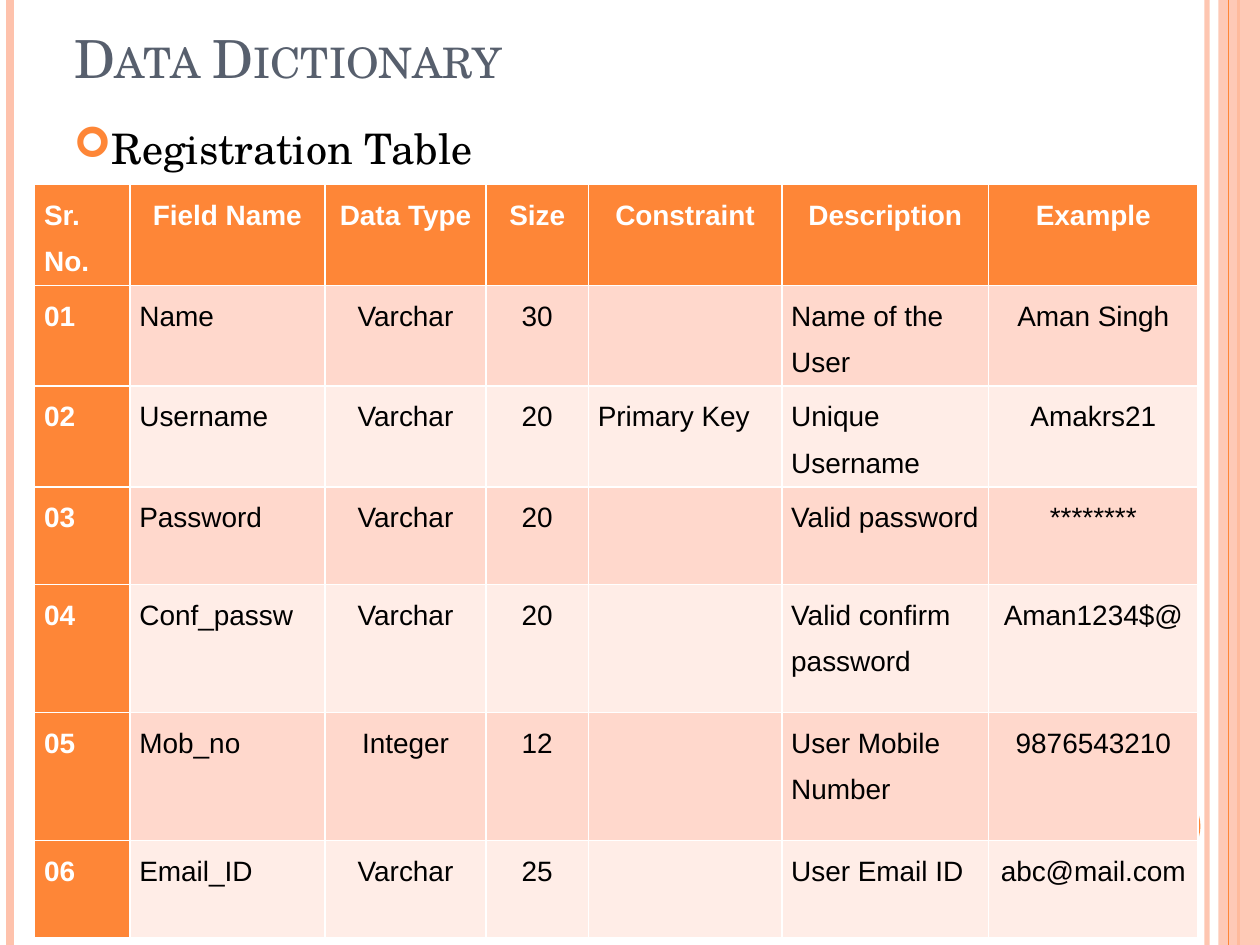
from dataclasses import dataclass

from lxml import etree
from pptx import Presentation
from pptx import util as u
from pptx.dml.color import RGBColor
from pptx.enum import shapes, text
from pptx.oxml.ns import qn


@dataclass(frozen=True)
class Theme:
    orange: str = "FE8637"
    peach: str = "FEC2AC"
    slate: str = "575F6D"
    black: str = "000000"
    white: str = "FFFFFF"
    bands: tuple = ("FFD8CC", "FFEDE7")
    serif: str = "TeX Gyre Schola"
    sans: str = "Arial"
    title_size: int = 30
    body_size: int = 24
    table_size: int = 16


theme = Theme()


def format_text(paragraph, font_name, size, color, bold=False):
    for run in paragraph.runs:
        run.font.name = font_name
        run.font.size = u.Pt(size)
        run.font.bold = bold
        run.font.color.rgb = RGBColor.from_string(color)


def set_opacity(shape, percent):
    color = next(shape._element.spPr.iter(qn("a:srgbClr")))
    etree.SubElement(color, qn("a:alpha")).set("val", str(percent * 1000))


presentation = Presentation()
presentation.slide_width = u.Cm(25.4)
presentation.slide_height = u.Cm(19.05)
slide = presentation.slides.add_slide(presentation.slide_layouts[5])

# Side rules, band and disc, back to front; a rule has a line width in points
# and a block has a preset with its left, top, width and height
rule, rectangle, disc = None, shapes.MSO_SHAPE.RECTANGLE, shapes.MSO_SHAPE.OVAL
decorations = [
    (rule, (24.33, 3), theme.peach, 93),
    (rule, (0.2, 4.5), theme.peach, 100),
    (rule, (24.97, 1.5), theme.orange, 100),
    (rectangle, (24.56, 0, 0.84, 19.05), theme.peach, 87),
    (rule, (24.77, 0.75), theme.orange, 100),
    (disc, (22.65, 15.88, 1.55, 1.55), theme.orange, 100),
]
for kind, geometry, color, opacity in decorations:
    if kind is rule:
        x, line_width = geometry
        shape = slide.shapes.add_connector(
            shapes.MSO_CONNECTOR.STRAIGHT, u.Cm(x), 0, u.Cm(x), u.Cm(19.05))
        shape.line.width = u.Pt(line_width)
        shape.line.color.rgb = RGBColor.from_string(color)
        etree.SubElement(shape._element.spPr, qn("a:effectLst"))
    else:
        shape = slide.shapes.add_shape(kind, *map(u.Cm, geometry))
        shape.shadow.inherit = False
        shape.fill.solid()
        shape.fill.fore_color.rgb = RGBColor.from_string(color)
        shape.line.fill.background()
    if opacity < 100:
        set_opacity(shape, opacity)

# Title
title = slide.shapes.title
title.left, title.top, title.width, title.height = (
    u.Cm(1.24), u.Cm(0), u.Cm(20.75), u.Cm(1.93))
title.text_frame.text = "Data Dictionary"
title.text_frame.vertical_anchor = text.MSO_ANCHOR.BOTTOM
paragraph = title.text_frame.paragraphs[0]
paragraph.alignment = text.PP_ALIGN.LEFT
format_text(paragraph, theme.serif, theme.title_size, theme.slate)
paragraph.runs[0]._r.get_or_add_rPr().set("cap", "small")

# Heading with a ring bullet, which is character F0A2 of the symbol font
heading = slide.shapes.add_textbox(u.Cm(1.24), u.Cm(2.34), u.Cm(20.75), u.Cm(13.54))
heading.text_frame.word_wrap = True
heading.text_frame.text = "Registration Table"
paragraph = heading.text_frame.paragraphs[0]
properties = paragraph._p.get_or_add_pPr()
properties.set("marL", str(u.Cm(0.76)))
properties.set("indent", str(-u.Cm(0.76)))
bullet_color = etree.SubElement(properties, qn("a:buClr"))
etree.SubElement(bullet_color, qn("a:srgbClr")).set("val", theme.orange)
bullet_font = etree.SubElement(properties, qn("a:buFont"))
bullet_font.set("typeface", "Wingdings")
bullet_font.set("charset", "2")
etree.SubElement(properties, qn("a:buChar")).set("char", chr(0xF0A2))
format_text(paragraph, theme.serif, theme.body_size, theme.black)

# Registration table
records = [
    ("Sr. No.", "Field Name", "Data Type", "Size", "Constraint", "Description", "Example"),
    ("01", "Name", "Varchar", "30", "", "Name of the User", "Aman Singh"),
    ("02", "Username", "Varchar", "20", "Primary Key", "Unique Username", "Amakrs21"),
    ("03", "Password", "Varchar", "20", "", "Valid password", "********"),
    ("04", "Conf_passw", "Varchar", "20", "", "Valid confirm password", "Aman1234$@"),
    ("05", "Mob_no", "Integer", "12", "", "User Mobile Number", "9876543210"),
    ("06", "Email_ID", "Varchar", "25", "", "User Email ID", "abc@mail.com"),
]
column_widths = [1.92, 3.93, 3.25, 2.06, 3.9, 4.17, 4.22]
row_heights = [1.97, 1.97, 1.97, 1.97, 2.58, 2.58, 1.97]
centred_columns = {2, 3, 6}

# The default table style draws the white borders, thicker under the header
table = slide.shapes.add_table(
    len(records), len(column_widths), u.Cm(0.7), u.Cm(3.72),
    u.Cm(sum(column_widths)), u.Cm(sum(row_heights))).table
table.first_col = True
for column, width in zip(table.columns, column_widths):
    column.width = u.Cm(width)
for row, height in zip(table.rows, row_heights):
    row.height = u.Cm(height)

for r, record in enumerate(records):
    for c, value in enumerate(record):
        cell = table.cell(r, c)
        is_header = r == 0 or c == 0
        cell.margin_left = cell.margin_right = u.Cm(0.19)
        cell.margin_top = cell.margin_bottom = 0
        cell.text_frame.text = value
        paragraph = cell.text_frame.paragraphs[0]
        paragraph.line_spacing = 1.5
        if c in centred_columns or (r == 0 and c > 0):
            paragraph.alignment = text.PP_ALIGN.CENTER
        format_text(paragraph, theme.sans, theme.table_size,
                    theme.white if is_header else theme.black, is_header)
        cell.fill.solid()
        cell.fill.fore_color.rgb = RGBColor.from_string(
            theme.orange if is_header else theme.bands[(r - 1) % 2])

presentation.save("out.pptx")
